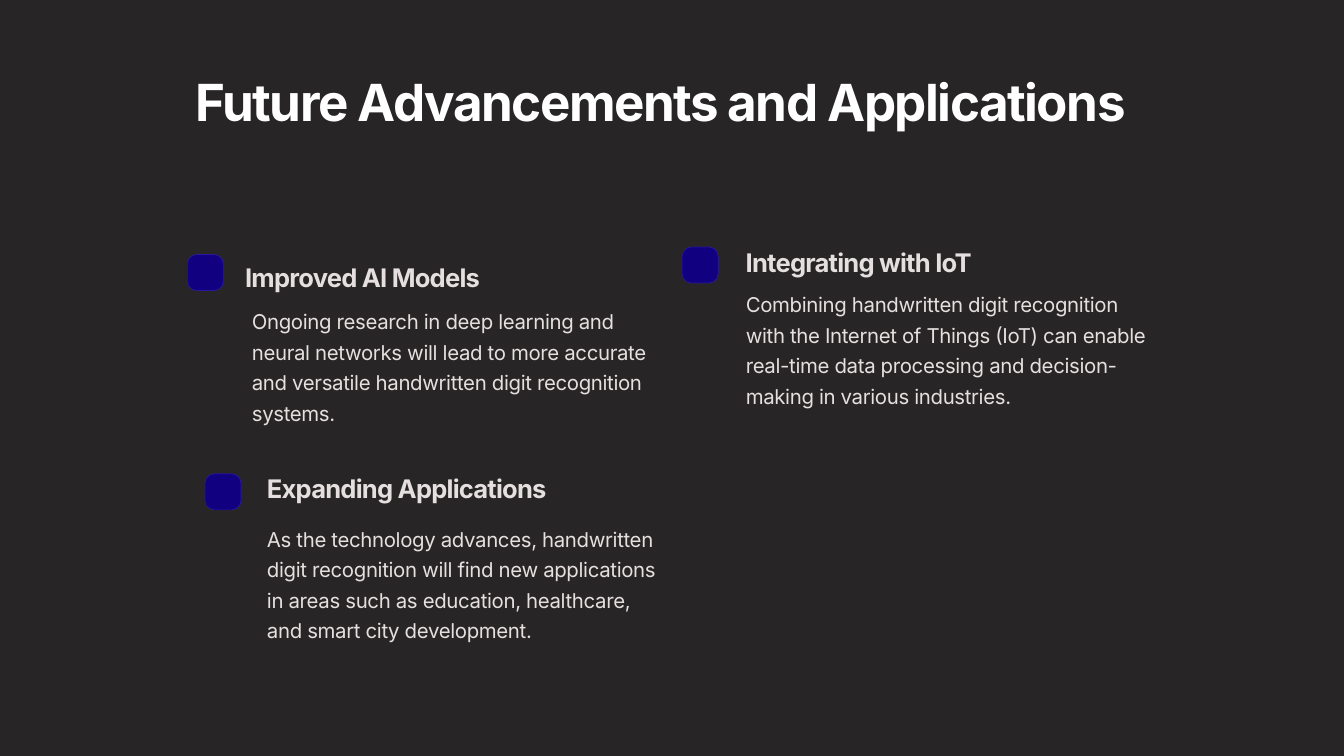
from pptx import Presentation
from pptx.dml.color import RGBColor
from pptx.enum.shapes import MSO_SHAPE as Shape
from pptx.enum.text import MSO_ANCHOR as Anchor, MSO_AUTO_SIZE as AutoSize, PP_ALIGN as Align
from pptx.util import Inches, Pt

FONT = "Inter"
BACKGROUND, WHITE, TEXT = "272525", "FFFFFF", "E5E0DF"
MARKER_FILL, MARKER_LINE = "110080", "2A1999"
MARKER_SIZE = 0.43
HEADING_SIZE = (3.1, 0.38)
BODY_SIZE = (4.98, 1.82)

# Heading, body, then left and top of marker, heading and body
TOPICS = [
    ("Improved AI Models",
     "Ongoing research in deep learning and neural networks will lead to more "
     "accurate and versatile handwritten digit recognition systems.",
     (2.23, 3.03), (2.82, 3.05), (2.9, 3.56)),
    ("Integrating with IoT",
     "Combining handwritten digit recognition with the Internet of Things (IoT) "
     "can enable real-time data processing and decision-making in various industries.",
     (8.12, 2.94), (8.78, 2.88), (8.78, 3.36)),
    ("Expanding Applications",
     "As the technology advances, handwritten digit recognition will find new "
     "applications in areas such as education, healthcare, and smart city development.",
     (2.44, 5.64), (3.08, 5.57), (3.08, 6.15)),
]


def color(value):
    return RGBColor.from_string(value)


def write(shape, text, size, line, spacing, ink, bold=False, wrap=True):
    frame = shape.text_frame
    frame.word_wrap = wrap
    frame.auto_size = AutoSize.NONE
    frame.vertical_anchor = Anchor.TOP
    paragraph = frame.paragraphs[0]
    paragraph.text = text
    paragraph.alignment = Align.LEFT
    paragraph.line_spacing = Pt(line)
    font = paragraph.font
    font.name, font.size, font.bold = FONT, Pt(size), bold
    font.color.rgb = color(ink)
    # Letter spacing, in hundredths of a point
    properties = paragraph._p.get_or_add_pPr().get_or_add_defRPr()
    properties.set("spc", str(round(spacing * 100)))


def add_title(slide, left, top, width, height):
    title = slide.shapes.title
    title.left, title.top = Inches(left), Inches(top)
    title.width, title.height = Inches(width), Inches(height)
    write(title, "Future Advancements and Applications", 43.8, 54.7, -1.3, WHITE, bold=True)


def add_text(slide, position, size):
    return slide.shapes.add_textbox(*map(Inches, position + size))


def add_topic(slide, heading, body, marker_at, heading_at, body_at):
    # Rounded marker
    marker = slide.shapes.add_shape(
        Shape.ROUNDED_RECTANGLE, *map(Inches, marker_at + (MARKER_SIZE, MARKER_SIZE)))
    marker.adjustments[0] = 0.26
    marker.shadow.inherit = False
    marker.fill.solid()
    marker.fill.fore_color.rgb = color(MARKER_FILL)
    marker.line.color.rgb = color(MARKER_LINE)
    marker.line.width = Pt(0.6)
    # Heading and description
    write(add_text(slide, heading_at, HEADING_SIZE), heading,
          21.9, 27.4, -0.7, TEXT, bold=True, wrap=False)
    write(add_text(slide, body_at, BODY_SIZE), body, 17.5, 26.2, -0.3, TEXT)


def main():
    presentation = Presentation()
    presentation.slide_width, presentation.slide_height = Inches(16), Inches(9)
    slide = presentation.slides.add_slide(presentation.slide_layouts.get_by_name("Title Only"))
    slide.background.fill.solid()
    slide.background.fill.fore_color.rgb = color(BACKGROUND)
    add_title(slide, 2.23, 0.76, 11.54, 1.52)
    for topic in TOPICS:
        add_topic(slide, *topic)
    presentation.save("out.pptx")


if __name__ == "__main__":
    main()
